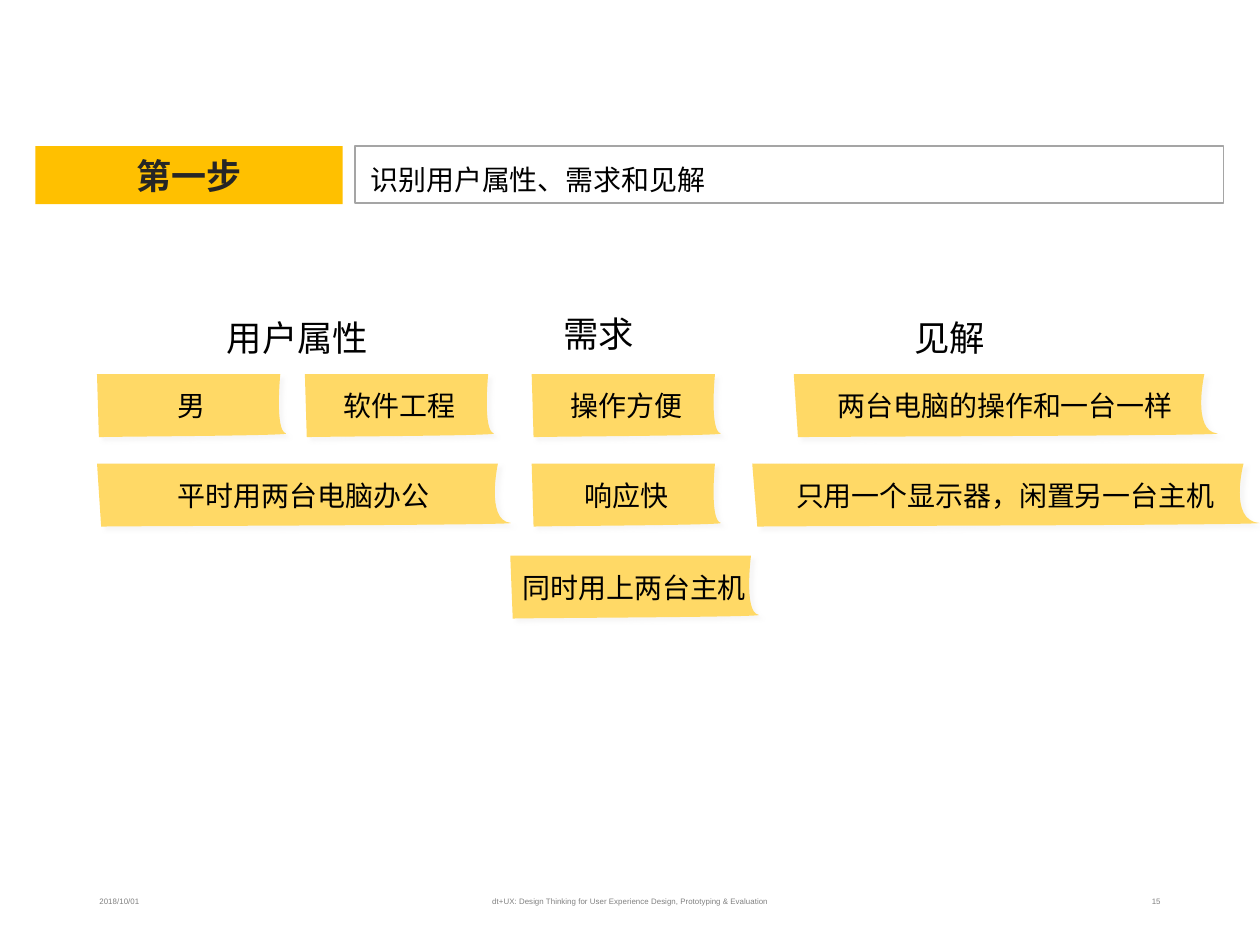
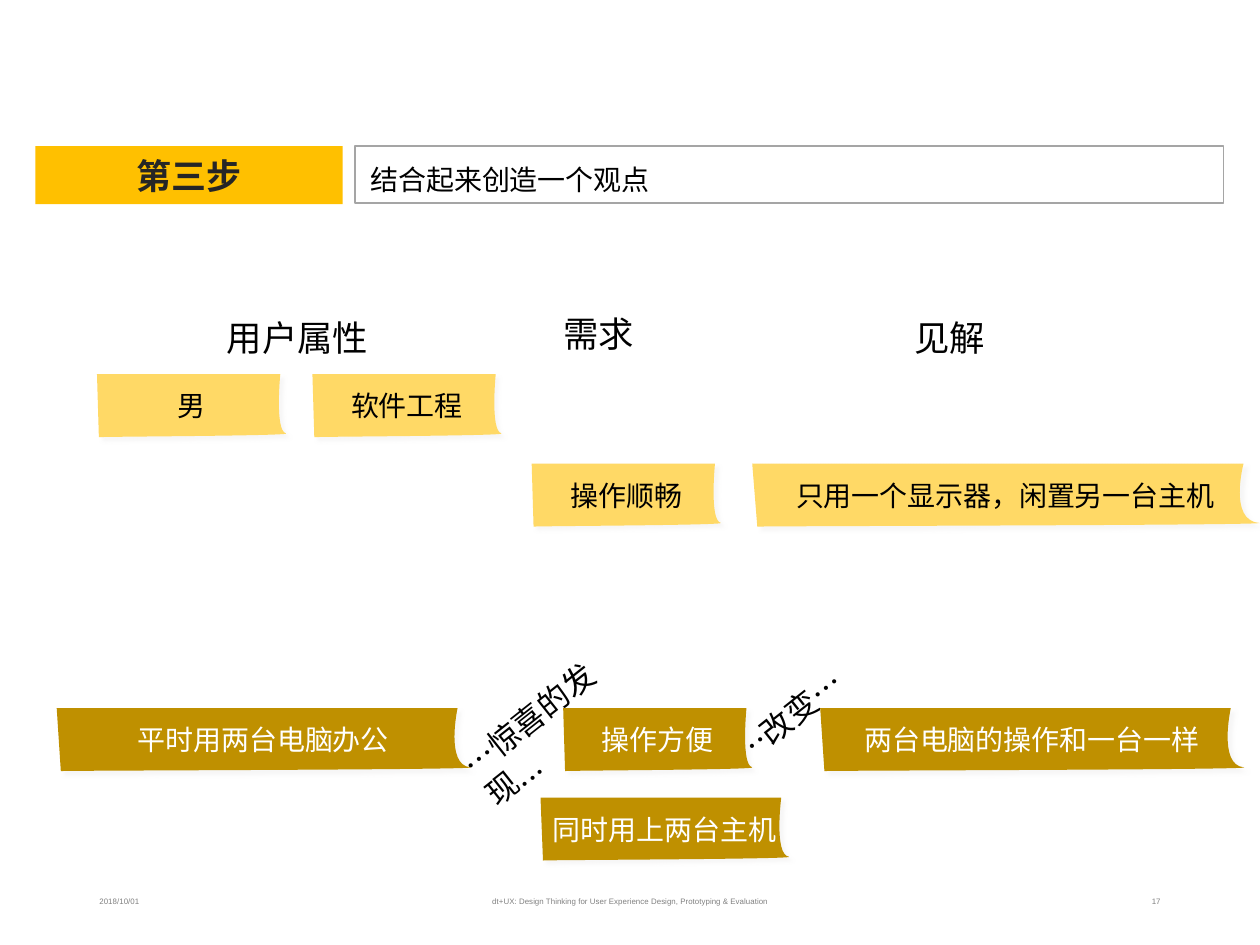
from dataclasses import dataclass

from lxml import etree
from pptx import Presentation
from pptx import util as u
from pptx.dml.color import RGBColor
from pptx.enum import shapes, text
from pptx.oxml.ns import qn

GOLD, SAND, OCHRE = "FFC000", "FFD966", "BF9000"
BLACK, WHITE, INK = "000000", "FFFFFF", "262626"
GREY, EDGE, SHADE = "808080", "A5A5A5", "E7E6E6"
HEAD = "League Spartan"
LEFT, MID, RIGHT = text.PP_ALIGN.LEFT, text.PP_ALIGN.CENTER, text.PP_ALIGN.RIGHT
ROWS = (2.97, 3.68, 4.41, 5.62, 6.33)
DARK = 3
TALL = 0.5
CORNER = (0.97, 0)
CURVES = (
    (CORNER, (0.94, 0.9), (1, 0.94)),
    ((1.05, 0.98), (0.02, 0.99), (0.01, 1)),
    ((0.01, 1), (0, 0), (0, 0)),
)


@dataclass
class Label:
    words: str
    x: float
    y: float
    w: float
    h: float = 0.34
    size: float = 20.2
    font: str = HEAD
    color: str = BLACK
    align: int = LEFT
    space: float = 1.0
    pad: tuple = (0, 0)
    anchor: int = text.MSO_ANCHOR.TOP
    turn: float = 0
    wrap: bool = True


@dataclass
class Note:
    words: str
    x: float
    row: int
    w: float = 1.5


@dataclass
class Page:
    step: str
    goal: str
    num: str
    tags: list[Label]
    notes: list[Note]


HEADS = [
    Label("用户属性", 1.8, 2.51, 1.22),
    Label("需求", 4.47, 2.48, 0.89),
    Label("见解", 7.26, 2.51, 1.14),
]

PAGES = [
    Page("第一步", "识别用户属性、需求和见解", "15", [], [
        Note("男", 0.77, 0),
        Note("软件工程", 2.42, 0),
        Note("平时用两台电脑办公", 0.77, 1, 3.28),
        Note("操作方便", 4.22, 0),
        Note("同时用上两台主机", 4.05, 2, 1.97),
        Note("响应快", 4.22, 1),
        Note("两台电脑的操作和一台一样", 6.3, 0, 3.36),
        Note("只用一个显示器，闲置另一台主机", 5.97, 1, 4.02),
    ]),
    Page("第三步", "结合起来创造一个观点", "17", [
        Label("…惊喜的发现...", 3.52, 5.42, 1.7, 0.3, 18, turn=321.6),
        Label("…改变…", 5.76, 5.54, 1, 0.3, 18, turn=321.6, wrap=False),
    ], [
        Note("男", 0.77, 0),
        Note("软件工程", 2.48, 0),
        Note("平时用两台电脑办公", 0.45, 3, 3.28),
        Note("操作方便", 4.47, 3),
        Note("操作顺畅", 4.22, 1),
        Note("两台电脑的操作和一台一样", 6.51, 3, 3.36),
        Note("只用一个显示器，闲置另一台主机", 5.97, 1, 4.02),
        Note("同时用上两台主机", 4.29, 4, 1.97),
    ]),
]


def paint(fill, color: str) -> None:
    fill.solid()
    fill.fore_color.rgb = RGBColor.from_string(color)


def put(shape, words: str, *, size: float = 16, font: str = "Arial",
        color: str = BLACK, bold: bool = False, align: int = MID,
        space: float = 1.0, pad: tuple = (0, 0), wrap: bool = True,
        anchor: int = text.MSO_ANCHOR.MIDDLE, plain: bool = False) -> None:
    frame = shape.text_frame
    frame.word_wrap = wrap
    frame.auto_size = text.MSO_AUTO_SIZE.NONE
    frame.vertical_anchor = anchor
    frame.margin_left = frame.margin_right = u.Inches(pad[0])
    frame.margin_top = frame.margin_bottom = u.Inches(pad[1])
    frame.text = words
    par = frame.paragraphs[0]
    if plain:
        props = par._p.get_or_add_pPr()
        props.set("marL", "0")
        props.set("indent", "0")
        etree.SubElement(props, qn("a:buNone"))
    par.alignment, par.line_spacing = align, space
    par.space_before = u.Pt(0)
    face = par.runs[0].font
    face.size, face.name, face.bold = u.Pt(size), font, bold
    paint(face.fill, color)


def place(shape, x: float, y: float, w: float, h: float) -> None:
    shape.left, shape.top = u.Inches(x), u.Inches(y)
    shape.width, shape.height = u.Inches(w), u.Inches(h)


def label(slide, item: Label) -> None:
    box = slide.shapes.add_textbox(
        *map(u.Inches, (item.x, item.y, item.w, item.h)))
    box.rotation = item.turn
    put(box, item.words, size=item.size, font=item.font, color=item.color,
        align=item.align, space=item.space, pad=item.pad, wrap=item.wrap,
        anchor=item.anchor)


def footer(slide, num: str) -> None:
    cells = (
        ("2018/10/01", 0.69, 2.25, LEFT),
        ("dt+UX: Design Thinking for User Experience Design, "
         "Prototyping & Evaluation", 3.31, 3.38, MID),
        (num, 7.06, 2.25, RIGHT),
    )
    for words, x, w, align in cells:
        label(slide, Label(words, x, 6.95, w, 0.4, 4.5, "Arial", GREY, align,
                           1.2, (0.1, 0.05), text.MSO_ANCHOR.MIDDLE))


def banner(slide, step: str, goal: str) -> None:
    title, body = slide.shapes.title, slide.placeholders[1]
    place(title, 0.28, 1.16, 2.44, 0.46)
    paint(title.fill, GOLD)
    put(title, step, size=20, color=INK, bold=True, pad=(0.07, 0.04))

    rim = slide.shapes.add_shape(
        shapes.MSO_SHAPE.RECTANGLE, *map(u.Inches, (2.82, 1.16, 6.89, 0.45)))
    rim.shadow.inherit = False
    rim.fill.background()
    paint(rim.line.fill, EDGE)
    rim.line.width = u.Pt(1)

    place(body, 2.87, 1.23, 6.78, 0.31)
    put(body, goal, align=LEFT, space=1.3, pad=(0.07, 0.04), plain=True)


def shade(shape) -> None:
    shape.shadow.inherit = False
    effects = shape._element.spPr.find(qn("a:effectLst"))
    drop = etree.SubElement(effects, qn("a:outerShdw"), {
        "blurRad": str(u.Pt(2)), "dist": str(u.Pt(3)),
        "dir": str(45 * 60000), "algn": "tl", "rotWithShape": "0"})
    tint = etree.SubElement(drop, qn("a:srgbClr"), val=SHADE)
    etree.SubElement(tint, qn("a:alpha"), val="33000")


def curl(shape, wide: int, tall: int) -> None:
    lines = list(shape._element.iter(qn("a:lnTo")))[1:]
    for line, curve in zip(lines, CURVES):
        bend = etree.Element(qn("a:cubicBezTo"))
        for fx, fy in curve:
            etree.SubElement(bend, qn("a:pt"), x=str(round(fx * wide)),
                             y=str(round(fy * tall)))
        line.getparent().replace(line, bend)


def sticky(slide, note: Note) -> None:
    left, top = u.Inches(note.x), u.Inches(ROWS[note.row])
    wide, tall = u.Inches(note.w), u.Inches(TALL)
    ends = [CORNER] + [curve[-1] for curve in CURVES]
    pen = slide.shapes.build_freeform(left, top)
    pen.add_line_segments(
        [(left + fx * wide, top + fy * tall) for fx, fy in ends])
    leaf = pen.convert_to_shape()
    curl(leaf, wide, tall)
    dark = note.row >= DARK
    paint(leaf.fill, OCHRE if dark else SAND)
    leaf.line.fill.background()
    shade(leaf)
    put(leaf, note.words, color=WHITE if dark else BLACK)


def build(deck, page: Page) -> None:
    slide = deck.slides.add_slide(deck.slide_layouts[1])
    banner(slide, page.step, page.goal)
    footer(slide, page.num)
    for item in HEADS + page.tags:
        label(slide, item)
    for note in page.notes:
        sticky(slide, note)


def main() -> None:
    deck = Presentation()
    deck.slide_width, deck.slide_height = u.Inches(10), u.Inches(7.5)
    for page in PAGES:
        build(deck, page)
    deck.save("out.pptx")


if __name__ == "__main__":
    main()
